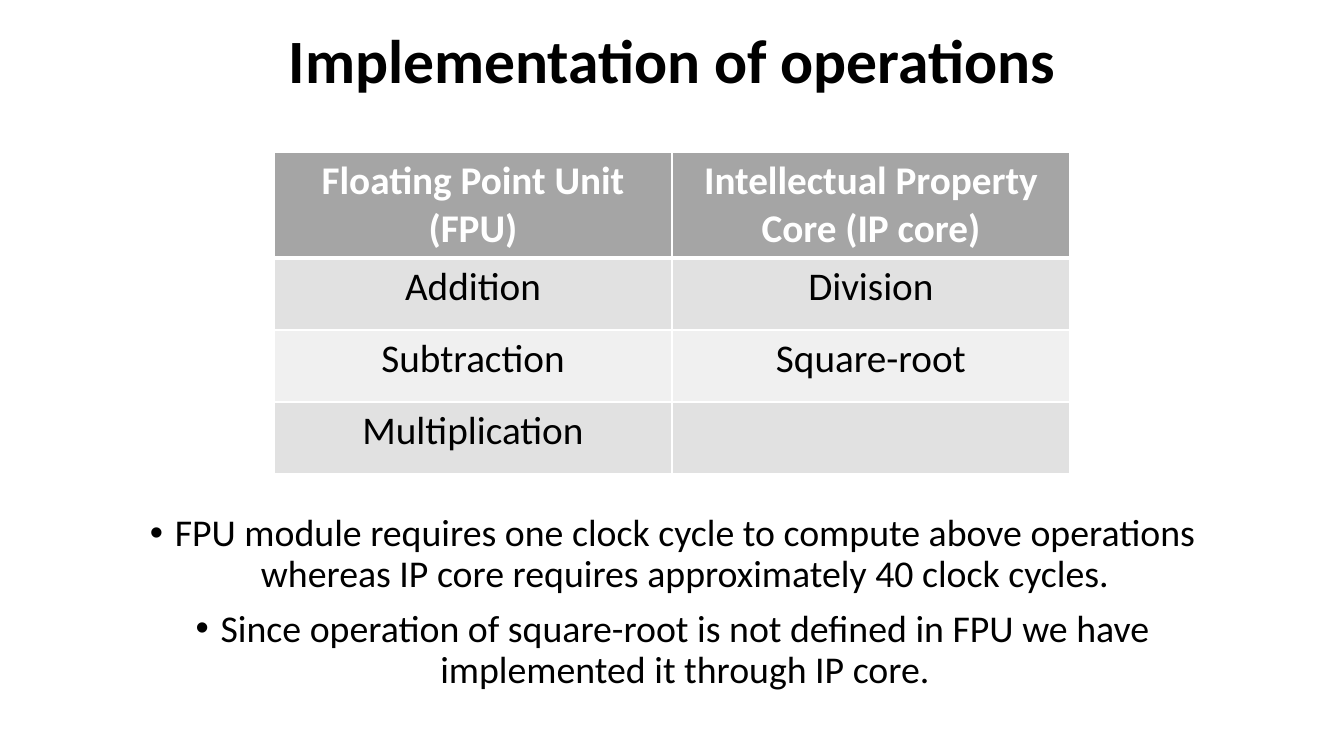
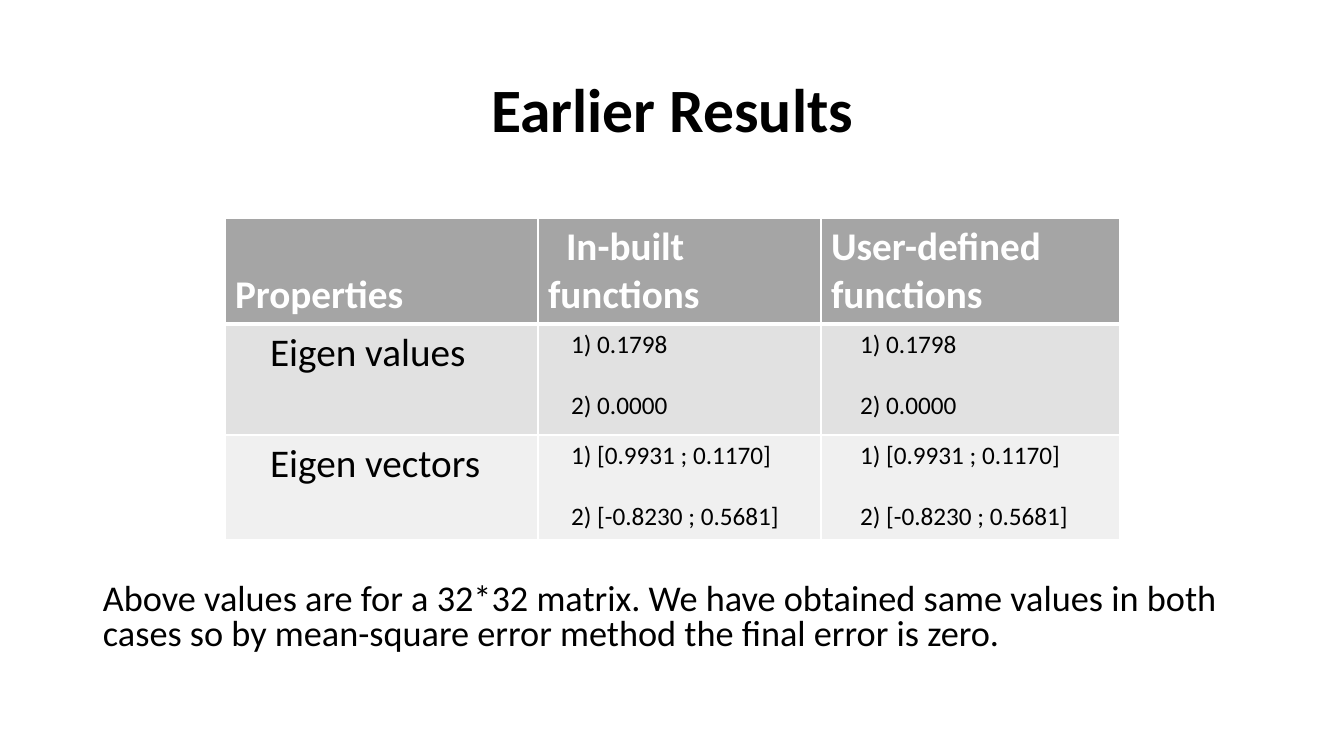
"""Build two slides on operations and results, each with a title, table and notes."""
import dataclasses

import pptx
import pptx.dml.color
import pptx.enum.text
import pptx.oxml
import pptx.oxml.ns
import pptx.util

ALIGN = pptx.enum.text.PP_ALIGN
ANCHOR = pptx.enum.text.MSO_ANCHOR
WIDE, HIGH = 1344, 756
SCALE = 12192000 / WIDE
LEFT, SPAN = 93, 1159


@dataclasses.dataclass(frozen=True)
class Theme:
    """Shared colours, font and type sizes."""
    font: str = "Calibri"
    ink: str = "000000"
    paper: str = "FFFFFF"
    head: str = "A5A5A5"
    bands: tuple = ("E1E1E1", "F0F0F0")
    title: float = 44
    cell: float = 28
    small: float = 18
    thin: float = 1
    thick: float = 3


THEME = Theme()

SLIDES = [
    {
        "title": "Implementation of operations",
        "title_box": (19, 89),
        "table": {
            "at": (274, 152), "cols": (398, 398), "rows": (106, 72, 72, 72),
            "align": ALIGN.CENTER, "sizes": (THEME.cell, THEME.cell),
            "head_dent": (0, 0), "dent": (0, 0),
            "cells": [
                ("Floating Point Unit (FPU)", "Intellectual Property Core (IP core)"),
                (["Addition"], ["Division"]),
                (["Subtraction"], ["Square-root"]),
                (["Multiplication"], []),
            ],
        },
        "notes": {
            "box": (509, 200), "size": 27, "line": 0.9,
            "align": ALIGN.CENTER, "bullet": True,
            "text": [
                "FPU module requires one clock cycle to compute above operations "
                "whereas IP core requires approximately 40 clock cycles.",
                "Since operation of square-root is not defined in FPU we have "
                "implemented it through IP core.",
            ],
        },
    },
    {
        "title": "Earlier Results",
        "title_box": (40, 146),
        "table": {
            "at": (225, 218), "cols": (313, 283, 299), "rows": (106, 111, 105),
            "align": ALIGN.LEFT, "sizes": (THEME.cell, THEME.small, THEME.small),
            "head_dent": (0, 18, 0), "dent": (35, 23, 29),
            "cells": [
                ("Properties", "In-built functions", "User-defined functions"),
                (["Eigen values"],
                 ["1) 0.1798", "2) 0.0000"],
                ["1) 0.1798", "2) 0.0000"]),
                (["Eigen vectors"],
                 ["1) [0.9931 ; 0.1170]", "2) [-0.8230 ; 0.5681]"],
                 ["1) [0.9931 ; 0.1170]", "2) [-0.8230 ; 0.5681]"]),
            ],
        },
        "notes": {
            "box": (579, 100), "size": 25.9, "line": 0.8,
            "align": ALIGN.LEFT, "bullet": False,
            "text": [
                "Above values are for a 32*32 matrix. We have obtained same values in "
                "both cases so by mean-square error method the final error is zero.",
            ],
        },
    },
]


def px(num):
    return pptx.util.Emu(round(num * SCALE))


def rgb(code):
    return pptx.dml.color.RGBColor.from_string(code)


def dent(para, left, first):
    props = para._p.get_or_add_pPr()
    props.set("marL", str(px(left)))
    props.set("indent", str(px(first)))
    return props


def write(frame, lines, size, align, color=THEME.ink, bold=False,
          line=1.0, gap=0, first=0, bullet=False):
    for num, text in enumerate(lines):
        para = frame.add_paragraph() if num else frame.paragraphs[0]
        para.alignment = align
        para.line_spacing = line
        para.space_before = pptx.util.Pt(gap if num else 0)
        if bullet:
            props = dent(para, 25, -25)
            for tag, key, val in (("buFont", "typeface", "Arial"), ("buChar", "char", "•")):
                mark = pptx.oxml.parse_xml(
                    f'<a:{tag} {pptx.oxml.ns.nsdecls("a")} {key}="{val}"/>')
                props.append(mark)
        elif first:
            dent(para, 0, first)
        run = para.add_run()
        run.text = text
        font = run.font
        font.name, font.size, font.bold = THEME.font, pptx.util.Pt(size), bold
        font.color.rgb = rgb(color)


def add_box(slide, box, anchor):
    top, high = box
    frame = slide.shapes.add_textbox(px(LEFT), px(top), px(SPAN), px(high)).text_frame
    frame.word_wrap = True
    frame.vertical_anchor = anchor
    return frame


def edge(cell, row):
    props = cell._tc.get_or_add_tcPr()
    top = THEME.thick if row == 1 else THEME.thin
    base = THEME.thick if row == 0 else THEME.thin
    for side, width in (("L", THEME.thin), ("R", THEME.thin), ("T", top), ("B", base)):
        props.append(pptx.oxml.parse_xml(
            f'<a:ln{side} {pptx.oxml.ns.nsdecls("a")} w="{pptx.util.Pt(width)}">'
            f'<a:solidFill><a:srgbClr val="{THEME.paper}"/></a:solidFill></a:ln{side}>'))


def add_grid(slide, spec):
    cols, rows = spec["cols"], spec["rows"]
    left, top = spec["at"]
    grid = slide.shapes.add_table(len(rows), len(cols), px(left), px(top),
                                  px(sum(cols)), px(sum(rows))).table
    for col, width in zip(grid.columns, cols):
        col.width = px(width)
    for row, high in zip(grid.rows, rows):
        row.height = px(high)
    for row, items in enumerate(spec["cells"]):
        for col, item in enumerate(items):
            cell = grid.cell(row, col)
            edge(cell, row)
            cell.fill.solid()
            if row == 0:
                cell.fill.fore_color.rgb = rgb(THEME.head)
                cell.vertical_anchor = ANCHOR.BOTTOM
                write(cell.text_frame, [item], THEME.cell, spec["align"],
                      THEME.paper, bold=True, first=spec["head_dent"][col])
            else:
                cell.fill.fore_color.rgb = rgb(THEME.bands[(row - 1) % 2])
                write(cell.text_frame, item, spec["sizes"][col], spec["align"],
                      gap=22, first=spec["dent"][col])


def main():
    deck = pptx.Presentation()
    deck.slide_width, deck.slide_height = px(WIDE), px(HIGH)
    for data in SLIDES:
        slide = deck.slides.add_slide(deck.slide_layouts[6])
        write(add_box(slide, data["title_box"], ANCHOR.MIDDLE), [data["title"]],
              THEME.title, ALIGN.CENTER, bold=True, line=0.9)
        add_grid(slide, data["table"])
        note = data["notes"]
        write(add_box(slide, note["box"], ANCHOR.TOP), note["text"], note["size"],
              note["align"], line=note["line"], gap=10, bullet=note["bullet"])
    deck.save("out.pptx")


if __name__ == "__main__":
    main()
